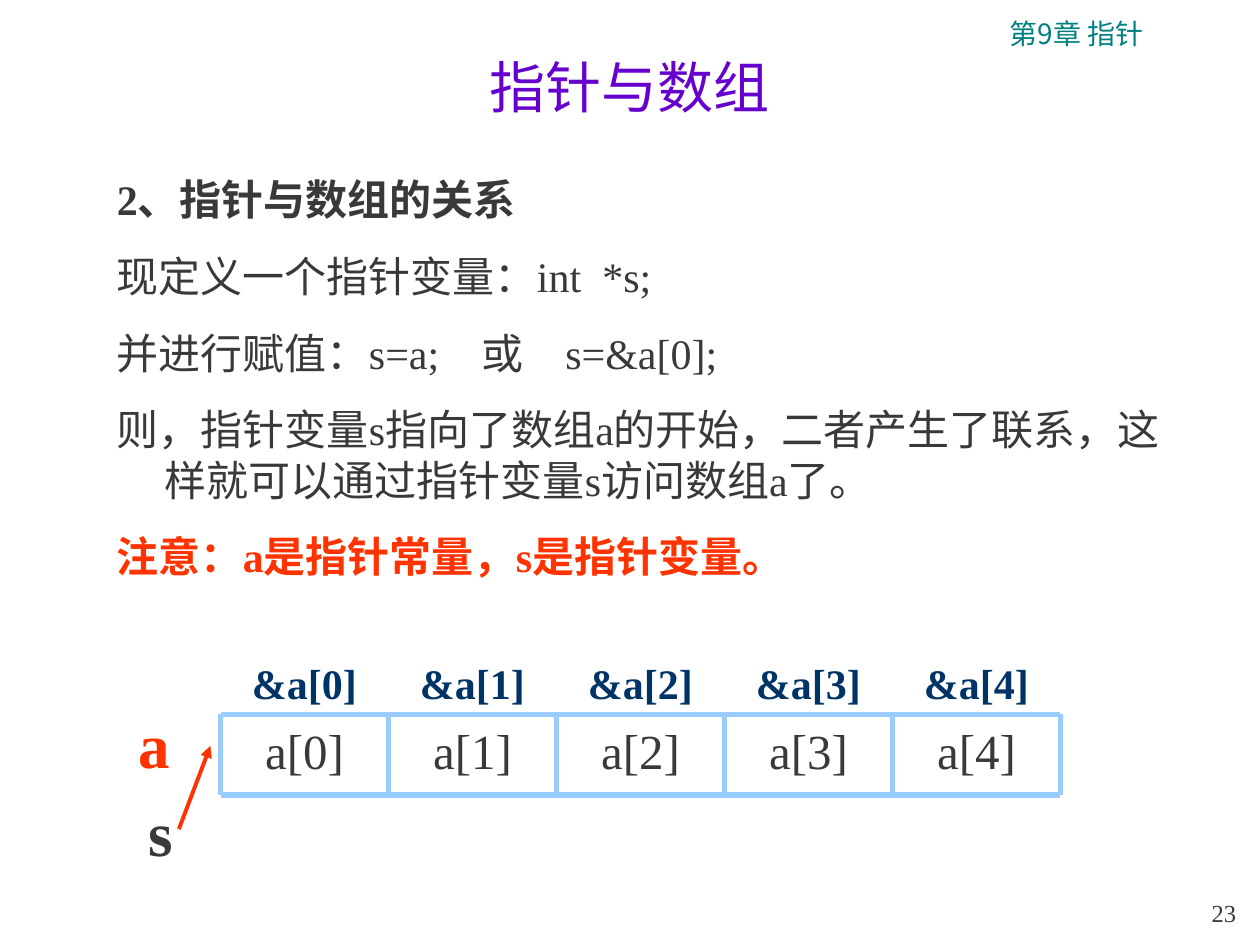
from dataclasses import dataclass

from lxml import etree
from pptx import Presentation
from pptx.dml.color import RGBColor
from pptx.enum import shapes, text
from pptx.oxml.ns import qn
from pptx.util import Inches, Pt

LATIN, CHINESE = "Times New Roman", "Noto Sans CJK JP"
INK, RED, BLUE, NAVY = "393939", "FF3300", "99CCFF", "003366"
LEFT, CENTER, RIGHT = text.PP_ALIGN.LEFT, text.PP_ALIGN.CENTER, text.PP_ALIGN.RIGHT
TOP, BOTTOM = text.MSO_ANCHOR.TOP, text.MSO_ANCHOR.BOTTOM

CELL_COUNT = 5
CELL_WIDTH = 4 / 3
GRID_LEFT, GRID_TOP, GRID_BOTTOM = 1.75, 5.67, 6.31
GRID_RIGHT = GRID_LEFT + CELL_COUNT * CELL_WIDTH
INSET = 0.1


@dataclass
class Style:
    size: float
    color: str = INK
    bold: bool = False
    latin: str = LATIN
    align: text.PP_ALIGN = LEFT


@dataclass
class Label:
    words: str
    left: float
    top: float
    width: float
    height: float
    style: Style
    anchor: text.MSO_ANCHOR = TOP


LABELS = [
    Label("第9章 指针", 7.17, 0.08, 2.75, 0.37, Style(16, "008080", latin=CHINESE, align=CENTER)),
    Label("23", 9.33, 7.08, 0.58, 0.33, Style(14, align=RIGHT), BOTTOM),
    Label("a", 1, 5.55, 0.42, 0.7, Style(36, RED, bold=True)),
    Label("s", 1.08, 6.25, 0.42, 0.7, Style(36, bold=True)),
]

BODY = [
    ("2、指针与数组的关系", Style(24, bold=True)),
    ("现定义一个指针变量：int  *s;", Style(24)),
    ("并进行赋值：s=a;　或　s=&a[0];", Style(24)),
    ("则，指针变量s指向了数组a的开始，二者产生了联系，这样就可以通过指针变量s访问数组a了。", Style(24)),
    ("注意：a是指针常量，s是指针变量。", Style(24, RED, bold=True)),
]


def rgb(color: str) -> RGBColor:
    return RGBColor.from_string(color)


def format_paragraph(para, style: Style) -> None:
    para.alignment = style.align
    font = para.font
    font.size = Pt(style.size)
    font.bold = style.bold
    font.name = style.latin
    font.color.rgb = rgb(style.color)
    properties = para._p.get_or_add_pPr().find(qn("a:defRPr"))
    etree.SubElement(properties, qn("a:ea"), typeface=CHINESE)


def add_box(parent, left: float, top: float, width: float, height: float, anchor=TOP):
    """Add an empty wrapping text box and return its text frame."""
    box = parent.add_textbox(Inches(left), Inches(top), Inches(width), Inches(height))
    frame = box.text_frame
    frame.word_wrap = True
    frame.vertical_anchor = anchor
    return frame


def add_label(parent, label: Label) -> None:
    frame = add_box(parent, label.left, label.top, label.width, label.height, label.anchor)
    para = frame.paragraphs[0]
    para.text = label.words
    format_paragraph(para, label.style)


def add_line(parent, start: tuple[float, float], end: tuple[float, float],
             color: str, width: float, arrow: bool = False) -> None:
    line = parent.add_connector(
        shapes.MSO_CONNECTOR.STRAIGHT, *(Inches(value) for value in (*start, *end)))
    line.line.color.rgb = rgb(color)
    line.line.width = Pt(width)
    if arrow:
        etree.SubElement(line.line._get_or_add_ln(), qn("a:tailEnd"), type="triangle")
    etree.SubElement(line._element.spPr, qn("a:effectLst"))


def add_title(slide, words: str) -> None:
    title = slide.shapes.title
    title.left, title.top = Inches(0.75), Inches(0.17)
    title.width, title.height = Inches(8.5), Inches(0.83)
    title.text_frame.vertical_anchor = BOTTOM
    para = title.text_frame.paragraphs[0]
    para.text = words
    format_paragraph(para, Style(32, "6600CC", align=CENTER))


def add_body(parent) -> None:
    frame = add_box(parent, 0.83, 1.33, 8.58, 5.17)
    for index, (words, style) in enumerate(BODY):
        para = frame.add_paragraph() if index else frame.paragraphs[0]
        para.text = words
        properties = para._p.get_or_add_pPr()
        properties.set("marL", str(Inches(0.38)))
        properties.set("indent", str(Inches(-0.38)))
        if index:
            para.space_before = Pt(15)
        format_paragraph(para, style)


def add_array(parent) -> None:
    """Draw the cells of array a with their border lines."""
    grid = parent.add_group_shape().shapes
    height = GRID_BOTTOM - GRID_TOP
    edges = [GRID_LEFT + index * CELL_WIDTH for index in range(CELL_COUNT + 1)]
    for index, left in enumerate(edges[:-1]):
        add_label(grid, Label(f"a[{index}]", left, GRID_TOP, CELL_WIDTH, height,
                              Style(28, align=CENTER)))
    for edge in edges:
        add_line(grid, (edge, GRID_TOP), (edge, GRID_BOTTOM), BLUE, 3)
    for y in (GRID_TOP, GRID_BOTTOM):
        add_line(grid, (GRID_LEFT, y), (GRID_RIGHT, y), BLUE, 3)


def add_addresses(parent) -> None:
    """Write the element addresses in one line, each centred above its cell."""
    para = add_box(parent, GRID_LEFT, 5.17, 6.75, 0.5).paragraphs[0]
    para.text = "".join(f"\t&a[{index}]" for index in range(CELL_COUNT))
    stops = etree.SubElement(para._p.get_or_add_pPr(), qn("a:tabLst"))
    for index in range(CELL_COUNT):
        position = Inches((index + 0.5) * CELL_WIDTH - INSET)
        etree.SubElement(stops, qn("a:tab"), pos=str(position), algn="ctr")
    format_paragraph(para, Style(24, NAVY, bold=True))


def main() -> None:
    deck = Presentation()
    deck.slide_width, deck.slide_height = Inches(10), Inches(7.5)
    slide = deck.slides.add_slide(deck.slide_layouts[5])
    add_title(slide, "指针与数组")
    add_body(slide.shapes)
    add_array(slide.shapes)
    add_addresses(slide.shapes)
    for label in LABELS:
        add_label(slide.shapes, label)
    add_line(slide.shapes, (1.42, 6.58), (1.67, 5.92), RED, 2.25, arrow=True)
    deck.save("out.pptx")


if __name__ == "__main__":
    main()
